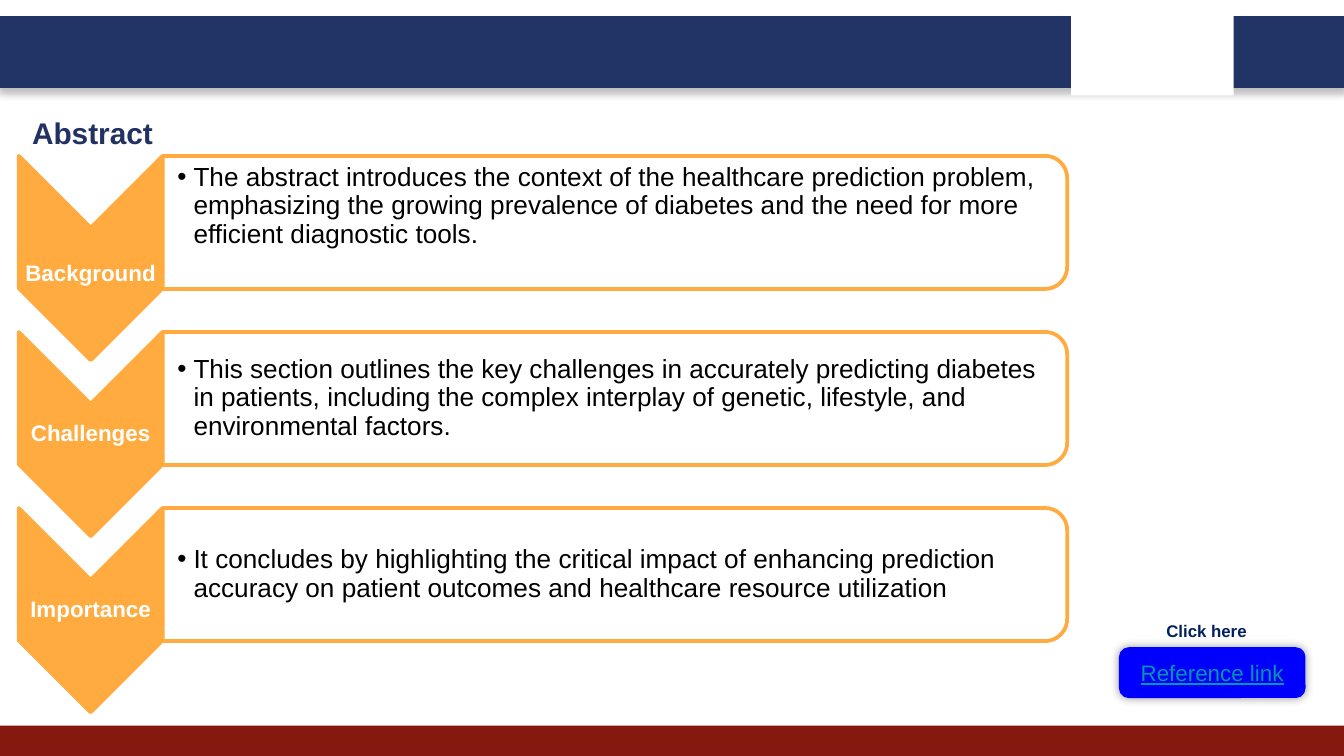
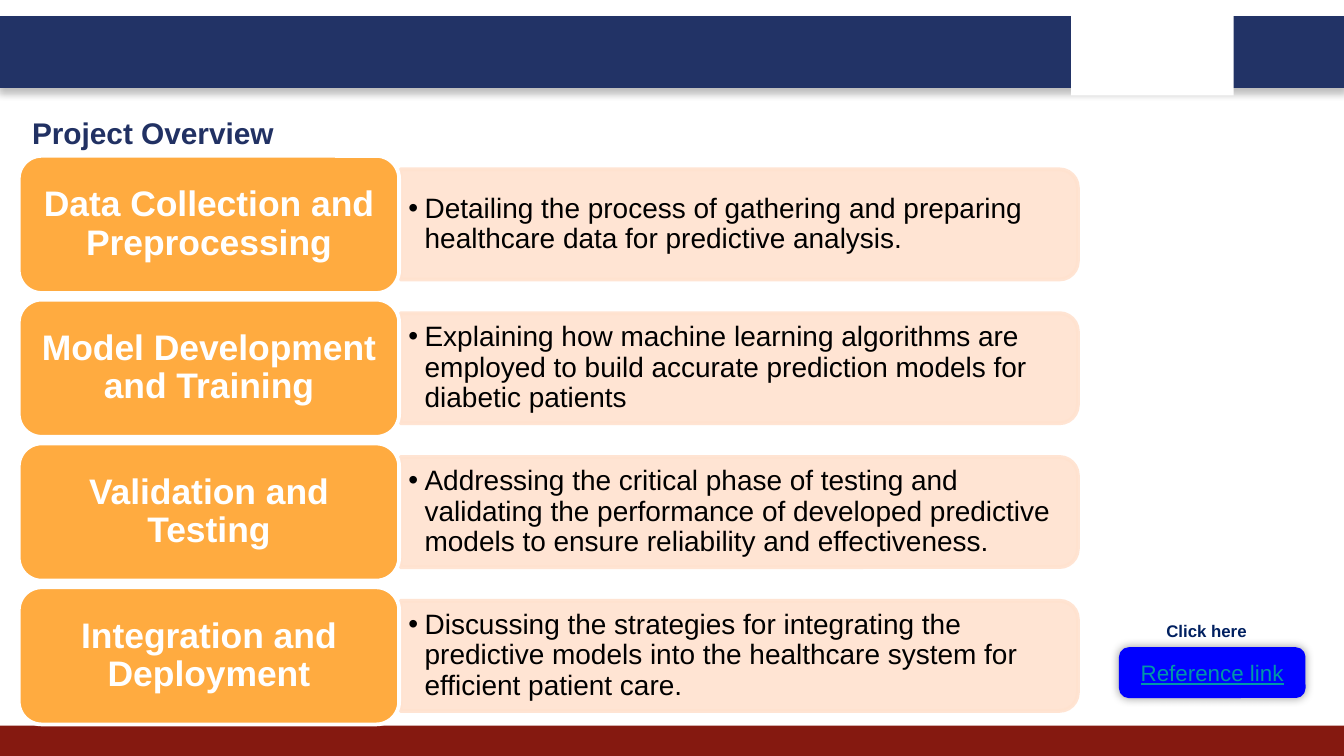
from collections import namedtuple

from lxml.etree import SubElement
from pptx import Presentation
from pptx.dml.color import RGBColor
from pptx.enum.shapes import MSO_SHAPE as Shape
from pptx.enum.text import MSO_ANCHOR as Anchor, MSO_AUTO_SIZE as AutoSize, PP_ALIGN as Align
from pptx.oxml.ns import qn
from pptx.util import Pt

EMU_PER_PX = 9144
FONT = "Arial"
COLORS = {
    "navy": "223366",
    "title": "213163",
    "maroon": "851910",
    "white": "FFFFFF",
    "black": "000000",
    "orange": "FFAB40",
    "peach": "FFE2CF",
    "blue": "0000FF",
    "link": "0097A7",
    "caption": "002060",
}

Box = namedtuple("Box", "left top width height")

ABSTRACT = [
    ("Background", "The abstract introduces the context of the healthcare prediction problem, "
     "emphasizing the growing prevalence of diabetes and the need for more efficient diagnostic tools.", 12),
    ("Challenges", "This section outlines the key challenges in accurately predicting diabetes in patients, "
     "including the complex interplay of genetic, lifestyle, and environmental factors.", 0),
    ("Importance", "It concludes by highlighting the critical impact of enhancing prediction accuracy "
     "on patient outcomes and healthcare resource utilization", 0),
]
OVERVIEW = [
    ("Data Collection and Preprocessing",
     "Detailing the process of gathering and preparing healthcare data for predictive analysis."),
    ("Model Development and Training",
     "Explaining how machine learning algorithms are employed to build accurate prediction models "
     "for diabetic patients"),
    ("Validation and Testing",
     "Addressing the critical phase of testing and validating the performance of developed "
     "predictive models to ensure reliability and effectiveness."),
    ("Integration and Deployment",
     "Discussing the strategies for integrating the predictive models into the healthcare system "
     "for efficient patient care."),
]


def px(length):
    return round(length * EMU_PER_PX)


def color(name):
    return RGBColor.from_string(COLORS[name])


def within(box, left, top, width, height):
    return Box(box.left + left, box.top + top, width, height)


def set_alpha(fill_element, percent):
    for tint in fill_element.iter(qn("a:srgbClr")):
        SubElement(tint, qn("a:alpha"), val=str(percent * 1000))


def add_shadow(shape, alpha, blur, distance, angle):
    effects = shape._element.spPr.find(qn("a:effectLst"))
    shadow = SubElement(effects, qn("a:outerShdw"), blurRad=str(Pt(blur)), dist=str(Pt(distance)),
                        dir=str(angle * 60000), algn="bl", rotWithShape="0")
    tint = SubElement(shadow, qn("a:srgbClr"), val=COLORS["black"])
    SubElement(tint, qn("a:alpha"), val=str(alpha * 1000))


def add_block(page, kind, box, fill, line=None, turned=False, alpha=None):
    left, top, width, height = box
    if turned:
        left, top = left + (width - height) / 2, top + (height - width) / 2
        width, height = height, width
    shape = page.shapes.add_shape(kind, px(left), px(top), px(width), px(height))
    shape.rotation = 90 if turned else 0
    shape.shadow.inherit = False
    shape.fill.solid()
    shape.fill.fore_color.rgb = color(fill)
    if line:
        shape.line.color.rgb = color(line)
        shape.line.width = Pt(2)
    else:
        shape.line.fill.background()
    if alpha:
        set_alpha(shape._element.spPr.find(qn("a:solidFill")), alpha)
    return shape


def write(frame, text, size, tint, bold=False, underline=None, align=Align.LEFT,
          anchor=Anchor.TOP, insets=(10, 5, 10, 5), spacing=None):
    frame.text = text
    frame.word_wrap = True
    frame.vertical_anchor = anchor
    frame.margin_left, frame.margin_top, frame.margin_right, frame.margin_bottom = map(px, insets)
    para = frame.paragraphs[0]
    para.alignment = align
    if spacing:
        para.line_spacing = spacing
    span = para.runs[0]
    span.font.name = FONT
    span.font.size = Pt(size)
    span.font.bold = bold
    span.font.underline = underline
    span.font.color.rgb = color(tint)


def add_text(page, box, text, size, tint, **style):
    frame = page.shapes.add_textbox(*map(px, box)).text_frame
    write(frame, text, size, tint, **style)
    return frame


def add_label(page, box, text, size, insets):
    add_text(page, box, text, size, "white", bold=True, align=Align.CENTER,
             anchor=Anchor.MIDDLE, insets=insets, spacing=0.9)


def add_bullet(page, box, text, size, insets):
    frame = add_text(page, box, text, size, "black", anchor=Anchor.MIDDLE, insets=insets, spacing=0.9)
    para = frame.paragraphs[0]
    para.level = 1
    props = para._p.get_or_add_pPr()
    props.set("marL", str(px(12)))
    props.set("indent", str(px(-12)))
    tint = SubElement(props, qn("a:buClr"))
    SubElement(tint, qn("a:srgbClr"), val=COLORS["black"])
    SubElement(props, qn("a:buFont"), typeface=FONT)
    SubElement(props, qn("a:buChar"), char="•")


def add_frame(page, title):
    header = add_block(page, Shape.RECTANGLE, Box(0, 13, 1000, 51), "navy", "navy")
    add_shadow(header, 25, 4, 3, 90)
    add_block(page, Shape.RECTANGLE, Box(0, 540, 1000, 23), "maroon")
    add_block(page, Shape.RECTANGLE, Box(797, 7, 121, 64), "white")
    add_text(page, Box(14, 75, 321, 35), title, 16, "title", bold=True, insets=(10, 10, 10, 10))


def add_reference(page, box):
    button = add_block(page, Shape.ROUNDED_RECTANGLE, within(box, 0, 26, 136, 35), "blue", "blue")
    add_shadow(button, 40, 5, 0, 0)
    write(button.text_frame, "Reference link", 12, "link", underline=True,
          align=Align.CENTER, anchor=Anchor.MIDDLE)
    caption = add_text(page, within(box, 24, 0, 87, 25), "Click here", 9, "caption", bold=True)
    caption.auto_size = AutoSize.SHAPE_TO_FIT_TEXT


def add_chevron_row(page, box, label, body, nudge):
    add_block(page, Shape.CHEVRON, within(box, 0, 0, 107, 152), "orange", "orange", turned=True)
    add_label(page, within(box, 0, 53 + nudge, 107, 46), label, 12, (1, 1, 1, 1))
    add_block(page, Shape.ROUND_2_SAME_RECTANGLE, within(box, 107, 0, 673, 99),
              "white", "orange", turned=True, alpha=90)
    add_bullet(page, within(box, 107, 5 - nudge, 668, 89), body, 14, (11, 1, 1, 1))


def add_stage_row(page, box, label, body):
    bar = add_block(page, Shape.ROUND_2_SAME_RECTANGLE, within(box, 284, 10, 504, 82),
                    "peach", "peach", turned=True, alpha=90)
    set_alpha(bar.line._ln, 90)
    add_bullet(page, within(box, 284, 14, 500, 74), body, 15, (6, 3, 6, 3))
    add_block(page, Shape.ROUNDED_RECTANGLE, within(box, 0, 0, 283, 102), "orange", "white")
    add_label(page, within(box, 5, 5, 273, 92), label, 19, (8, 4, 8, 4))


def add_page(deck, title, rows, add_row, area, pitch):
    page = deck.slides.add_slide(deck.slide_layouts[6])
    add_frame(page, title)
    for index, row in enumerate(rows):
        add_row(page, within(area, 0, index * pitch, area.width, pitch), *row)
    add_reference(page, Box(834, 457, 136, 61))


def main():
    deck = Presentation()
    deck.slide_width = px(1000)
    deck.slide_height = deck.slide_width * 9 // 16
    add_page(deck, "Abstract", ABSTRACT, add_chevron_row, Box(14, 116, 780, 414), 131)
    add_page(deck, "Project Overview", OVERVIEW, add_stage_row, Box(14, 116, 788, 423), 107)
    deck.save("out.pptx")


if __name__ == "__main__":
    main()
